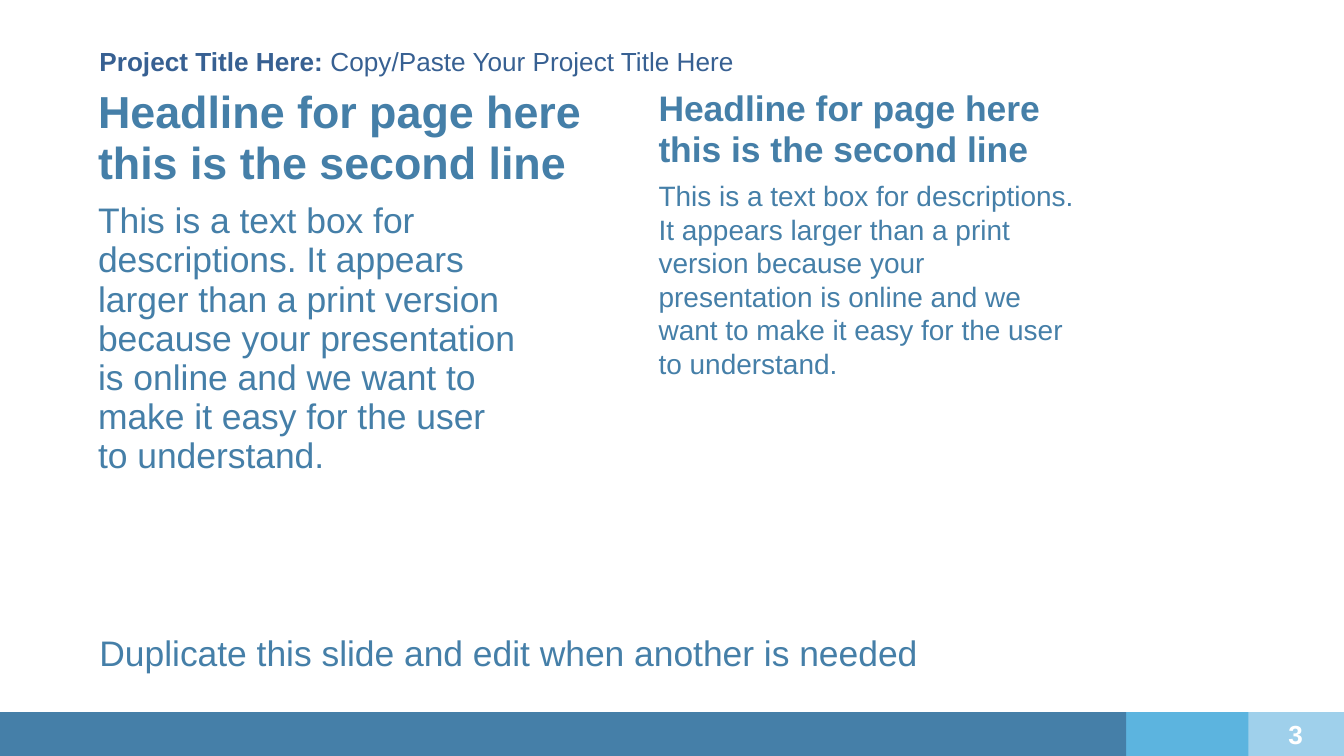
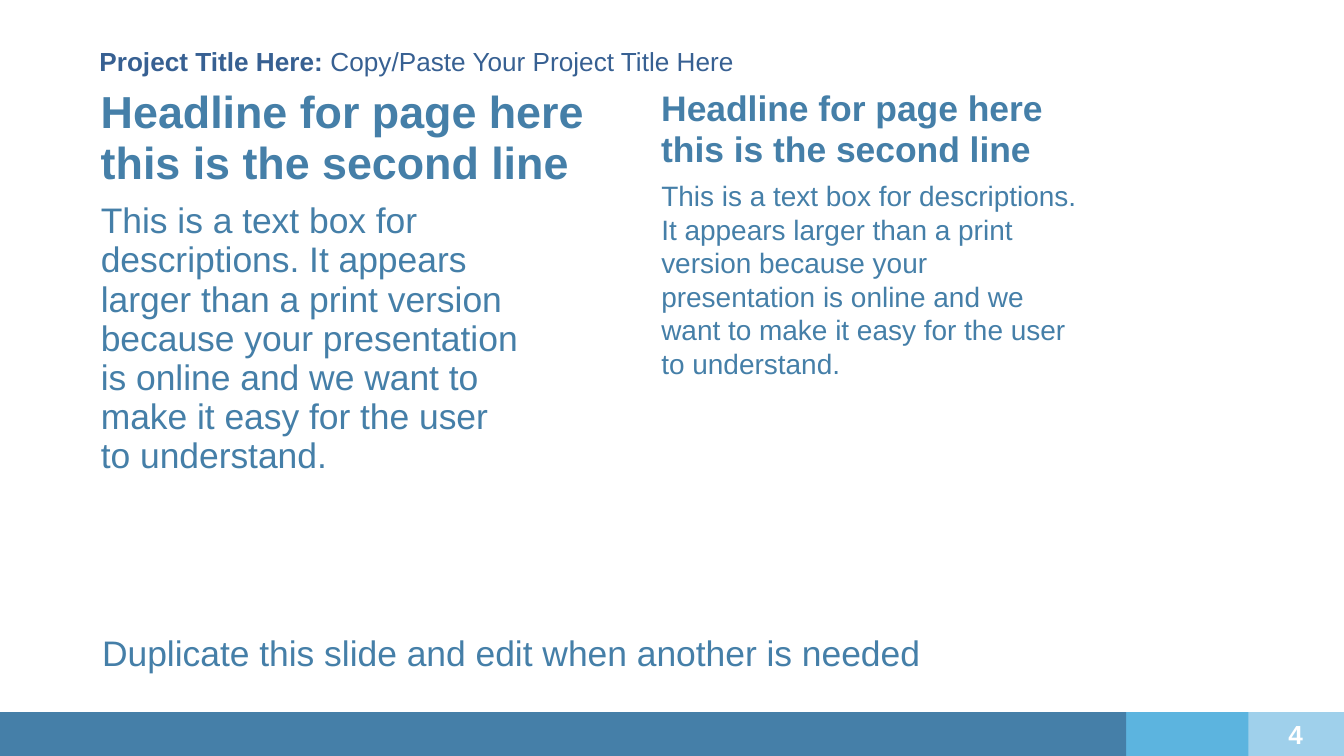
from dataclasses import dataclass

from pptx import Presentation
from pptx.dml.color import RGBColor
from pptx.enum.shapes import MSO_SHAPE
from pptx.enum.text import MSO_ANCHOR, MSO_AUTO_SIZE, PP_ALIGN
from pptx.util import Inches, Pt


@dataclass(frozen=True)
class Theme:
    font: str = "Arial"
    navy: str = "376092"
    blue: str = "457FA8"
    sky: str = "5CB4DF"
    pale: str = "9FD0EB"
    white: str = "FFFFFF"
    label: int = 14
    large: int = 24
    medium: int = 19
    small: int = 15


THEME = Theme()
HEADLINE = ["Headline for page here", "this is the second line"]
BODY = ("This is a text box for descriptions. It appears larger than a print "
        "version because your presentation is online and we want to make it "
        "easy for the user to understand.")
PROMPT = "Duplicate this slide and edit when another is needed"
TITLE = [("Project Title Here: ", True),
         ("Copy/Paste Your Project Title Here", False)]


def add_text(slide, box, lines, size=THEME.medium, color=THEME.blue,
             bold=False, leading=None, align=PP_ALIGN.LEFT,
             anchor=MSO_ANCHOR.TOP, wrap=True):
    """Each line is a string or a list of (text, bold) runs."""
    frame = slide.shapes.add_textbox(*map(Inches, box)).text_frame
    frame.word_wrap = wrap
    frame.auto_size = MSO_AUTO_SIZE.SHAPE_TO_FIT_TEXT
    frame.vertical_anchor = anchor
    frame.margin_left = frame.margin_right = Inches(0.05)
    frame.margin_top = frame.margin_bottom = Inches(0.05)
    for index, line in enumerate(lines):
        para = frame.add_paragraph() if index else frame.paragraphs[0]
        para.alignment = align
        if leading:
            para.line_spacing = Pt(leading)
        runs = [(line, bold)] if isinstance(line, str) else line
        for text, heavy in runs:
            run = para.add_run()
            run.text = text
            run.font.name = THEME.font
            run.font.size = Pt(size)
            run.font.bold = heavy
            run.font.color.rgb = RGBColor.from_string(color)


def add_footer(slide, top, number):
    """Overlap three equal bands so each shows a strip at its right end."""
    width = 10.18
    for right, color in ((10.07, THEME.pale), (9.29, THEME.sky),
                         (8.38, THEME.blue)):
        band = slide.shapes.add_shape(
            MSO_SHAPE.RECTANGLE, Inches(right - width), Inches(top),
            Inches(width), Inches(0.54))
        band.shadow.inherit = False
        band.fill.solid()
        band.fill.fore_color.rgb = RGBColor.from_string(color)
        band.line.fill.background()
    add_text(slide, (9.12, top, 1.04, 0.33), [str(number)], size=THEME.label,
             color=THEME.white, bold=True, align=PP_ALIGN.CENTER,
             anchor=MSO_ANCHOR.MIDDLE, wrap=False)


def add_column(slide, left, top, head, body):
    """Head and body are each (offset from top, height, size, leading)."""
    for part, lines, width, bold in ((head, HEADLINE, 3.7, True),
                                     (body, [BODY], 3.22, False)):
        offset, height, size, leading = part
        add_text(slide, (left, top + offset, width, height), lines,
                 size=size, leading=leading, bold=bold)


def add_page(deck, number, left):
    slide = deck.slides.add_slide(deck.slide_layouts[6])
    add_footer(slide, 5.3, number)
    add_text(slide, (0.69, 0.31, 8.2, 0.31), [TITLE], size=THEME.label,
             color=THEME.navy, leading=15)
    add_column(slide, left, 0.6, head=(0, 0.85, THEME.large, 27),
               body=(0.85, 2.14, THEME.medium, 21))
    add_column(slide, left + 4.17, 0.6, head=(0, 0.71, THEME.medium, 22),
               body=(0.68, 1.6, THEME.small, 18))
    add_text(slide, (left + 0.01, 4.7, 9.7, 0.36), [PROMPT], leading=19)


def main():
    deck = Presentation()
    deck.slide_width = Inches(10)
    deck.slide_height = Inches(10 * 9 / 16)
    for number, left in ((3, 0.68), (4, 0.7)):
        add_page(deck, number, left)
    deck.save("out.pptx")


if __name__ == "__main__":
    main()
